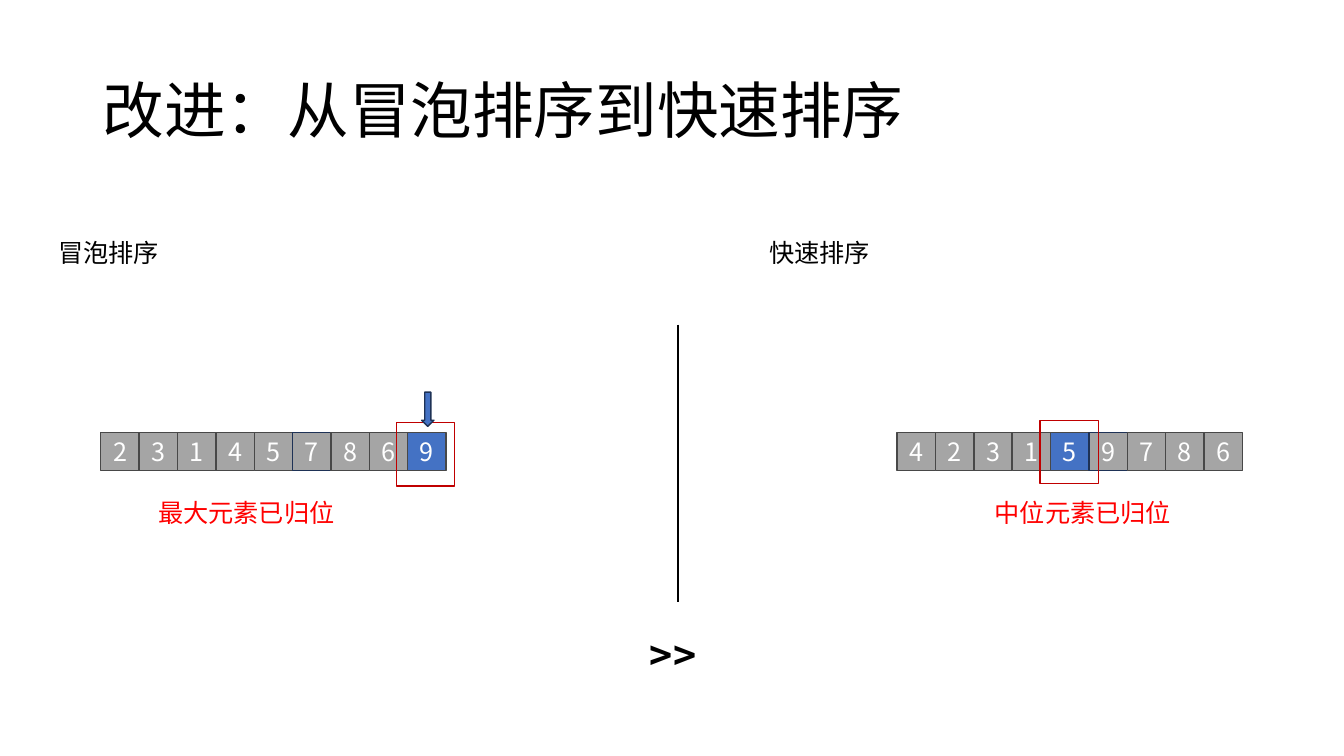
from dataclasses import dataclass

from lxml.etree import SubElement
from pptx import Presentation
from pptx.dml.color import RGBColor as RGB
from pptx.enum.shapes import MSO_CONNECTOR as LINE, MSO_SHAPE as SHAPE
from pptx.enum.text import MSO_ANCHOR as ANCHOR, MSO_AUTO_SIZE as AUTO, PP_ALIGN as ALIGN
from pptx.oxml.ns import qn
from pptx.shapes.autoshape import Shape
from pptx.slide import Slide
from pptx.util import Pt


@dataclass(frozen=True)
class Theme:
    """Colours, font and type sizes of the slide."""
    font: str = "Noto Sans CJK SC"
    ink: str = "000000"
    digit: str = "FFFFFF"
    note: str = "FF0000"
    frame: str = "C00000"
    cell: str = "A5A5A5"
    cell_edge: str = "484848"
    accent: str = "4472C4"
    accent_edge: str = "1E3256"
    title_size: float = 44
    body_size: float = 18
    mark_size: float = 28


@dataclass(frozen=True)
class Box:
    """Position and size in points."""
    x: float
    y: float
    w: float
    h: float


@dataclass(frozen=True)
class Label:
    """A one-line text box."""
    text: str
    box: Box
    size: float
    color: str
    bold: bool = False


@dataclass(frozen=True)
class NumberRow:
    """A row of numbers with one settled element and its frame."""
    digits: str
    x: float
    settled: int
    frame: Box


THEME = Theme()
CELL = 27.4
CELL_TOP = 308.9
DARK_EDGED = 5

ROWS = (
    NumberRow("231457869", 72, 8, Box(283, 301.7, 41.8, 45.4)),
    NumberRow("423159786", 640.8, 4, Box(743, 300.2, 41.8, 45.4)),
)
LABELS = (
    Label("最大元素已归位", Box(105.8, 351.4, 143, 29), THEME.body_size, THEME.note),
    Label("中位元素已归位", Box(703.4, 351.4, 142, 29), THEME.body_size, THEME.note),
    Label("冒泡排序", Box(34.6, 166.3, 87, 29), THEME.body_size, THEME.ink),
    Label("快速排序", Box(542.2, 166.3, 87, 29), THEME.body_size, THEME.ink),
    Label(">>", Box(457.2, 447.1, 54, 41), THEME.mark_size, THEME.ink, True),
)
ARROW = Box(301.2, 280.1, 8.8, 24.5)


def place(box: Box) -> tuple[Pt, Pt, Pt, Pt]:
    """Return the box as python-pptx lengths."""
    return Pt(box.x), Pt(box.y), Pt(box.w), Pt(box.h)


def assign(target: object, values: dict[str, object]) -> None:
    """Set each named attribute of the target."""
    for name, value in values.items():
        setattr(target, name, value)


def write(sp: Shape, text: str, size: float, color: str, align: ALIGN = ALIGN.LEFT,
          bold: bool = False) -> None:
    """Put one formatted run in the shape."""
    p = sp.text_frame.paragraphs[0]
    p.alignment = align
    r = p.add_run()
    r.text = text
    assign(r.font, {"name": THEME.font, "size": Pt(size), "bold": bold})
    r.font.color.rgb = RGB.from_string(color)
    SubElement(r.font._element, qn("a:ea")).set("typeface", THEME.font)


def add_figure(s: Slide, kind: SHAPE, box: Box, edge: str, fill: str | None = None) -> Shape:
    """Add a flat preset shape, hollow when no fill is given."""
    sp = s.shapes.add_shape(kind, *place(box))
    sp.shadow.inherit = False
    if fill:
        sp.fill.solid()
        sp.fill.fore_color.rgb = RGB.from_string(fill)
    else:
        sp.fill.background()
    sp.line.color.rgb = RGB.from_string(edge)
    sp.line.width = Pt(1)
    return sp


def add_row(s: Slide, row: NumberRow) -> None:
    """Draw the cells of a row and the frame on its settled element."""
    for i, digit in enumerate(row.digits):
        fill = THEME.accent if i == row.settled else THEME.cell
        edge = THEME.accent_edge if i == DARK_EDGED else THEME.cell_edge
        box = Box(row.x + i * CELL, CELL_TOP, CELL, CELL)
        sp = add_figure(s, SHAPE.RECTANGLE, box, edge, fill)
        sp.text_frame.vertical_anchor = ANCHOR.MIDDLE
        write(sp, digit, THEME.body_size, THEME.digit, ALIGN.CENTER)
    add_figure(s, SHAPE.RECTANGLE, row.frame, THEME.frame)


def add_label(s: Slide, label: Label) -> None:
    """Add a text box that fits its single line."""
    sp = s.shapes.add_textbox(*place(label.box))
    assign(sp.text_frame, {"word_wrap": False, "auto_size": AUTO.SHAPE_TO_FIT_TEXT})
    write(sp, label.text, label.size, label.color, bold=label.bold)


def add_title(s: Slide, text: str) -> None:
    """Place and format the title placeholder."""
    sp = s.shapes.title
    sp.left, sp.top, sp.width, sp.height = place(Box(66.2, 28.8, 828, 104.4))
    assign(sp.text_frame, {"vertical_anchor": ANCHOR.MIDDLE, "word_wrap": True})
    sp.text_frame.paragraphs[0].line_spacing = 0.9
    write(sp, text, THEME.title_size, THEME.ink)


def add_divider(s: Slide) -> None:
    """Draw the vertical line between the two halves."""
    cx = s.shapes.add_connector(LINE.STRAIGHT, Pt(484.6), Pt(231.8), Pt(484.6), Pt(429.8))
    cx.line.color.rgb = RGB.from_string(THEME.ink)
    cx.line.width = Pt(1.5)
    SubElement(cx._element.spPr, qn("a:effectLst"))


def main() -> None:
    """Build and save the slide."""
    prs = Presentation()
    assign(prs, {"slide_width": Pt(960), "slide_height": Pt(540)})
    s = prs.slides.add_slide(prs.slide_layouts.get_by_name("Title Only"))
    add_title(s, "改进：从冒泡排序到快速排序")
    for row in ROWS:
        add_row(s, row)
    add_figure(s, SHAPE.DOWN_ARROW, ARROW, THEME.accent_edge, THEME.accent)
    add_divider(s)
    for label in LABELS:
        add_label(s, label)
    prs.save("out.pptx")


if __name__ == "__main__":
    main()
